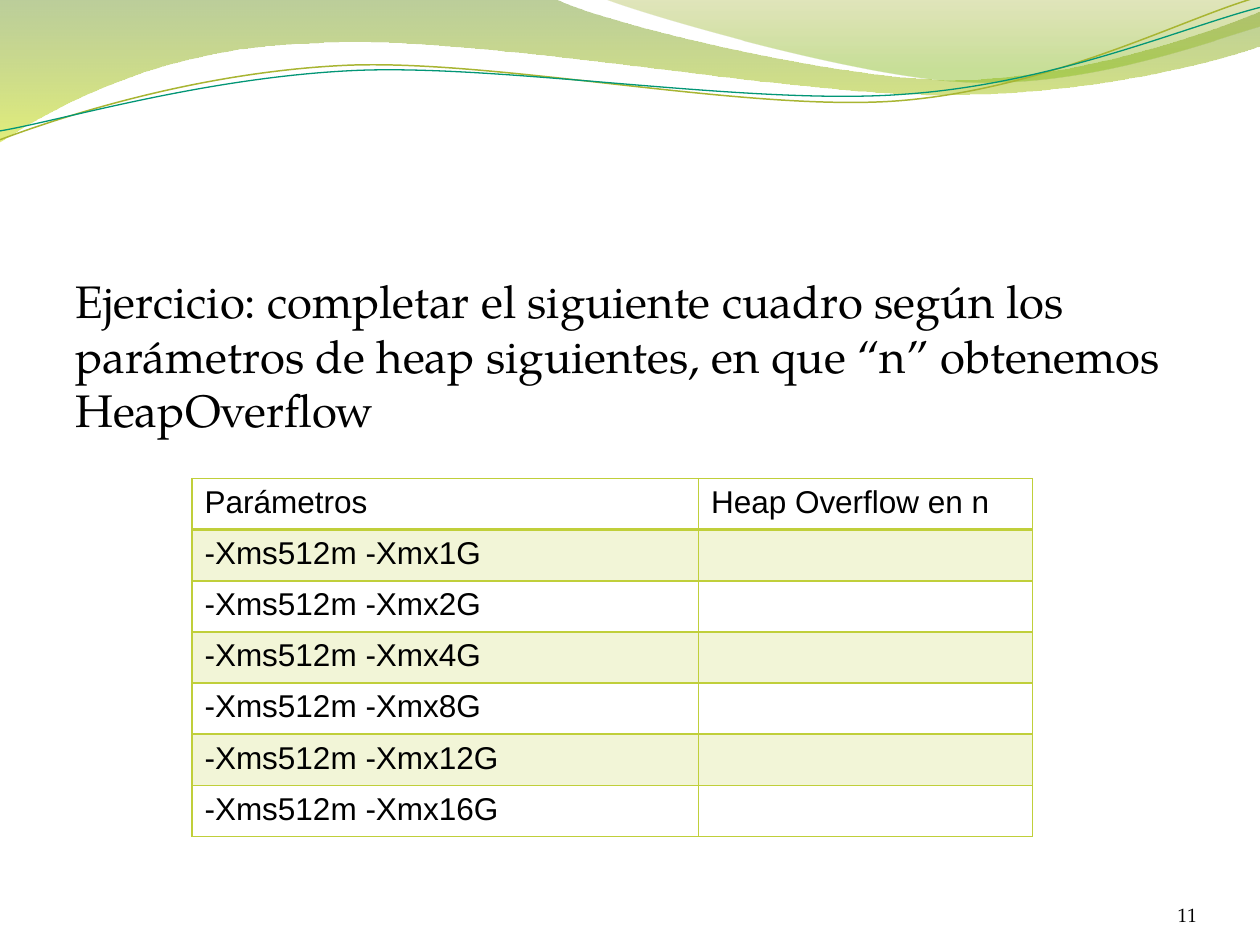
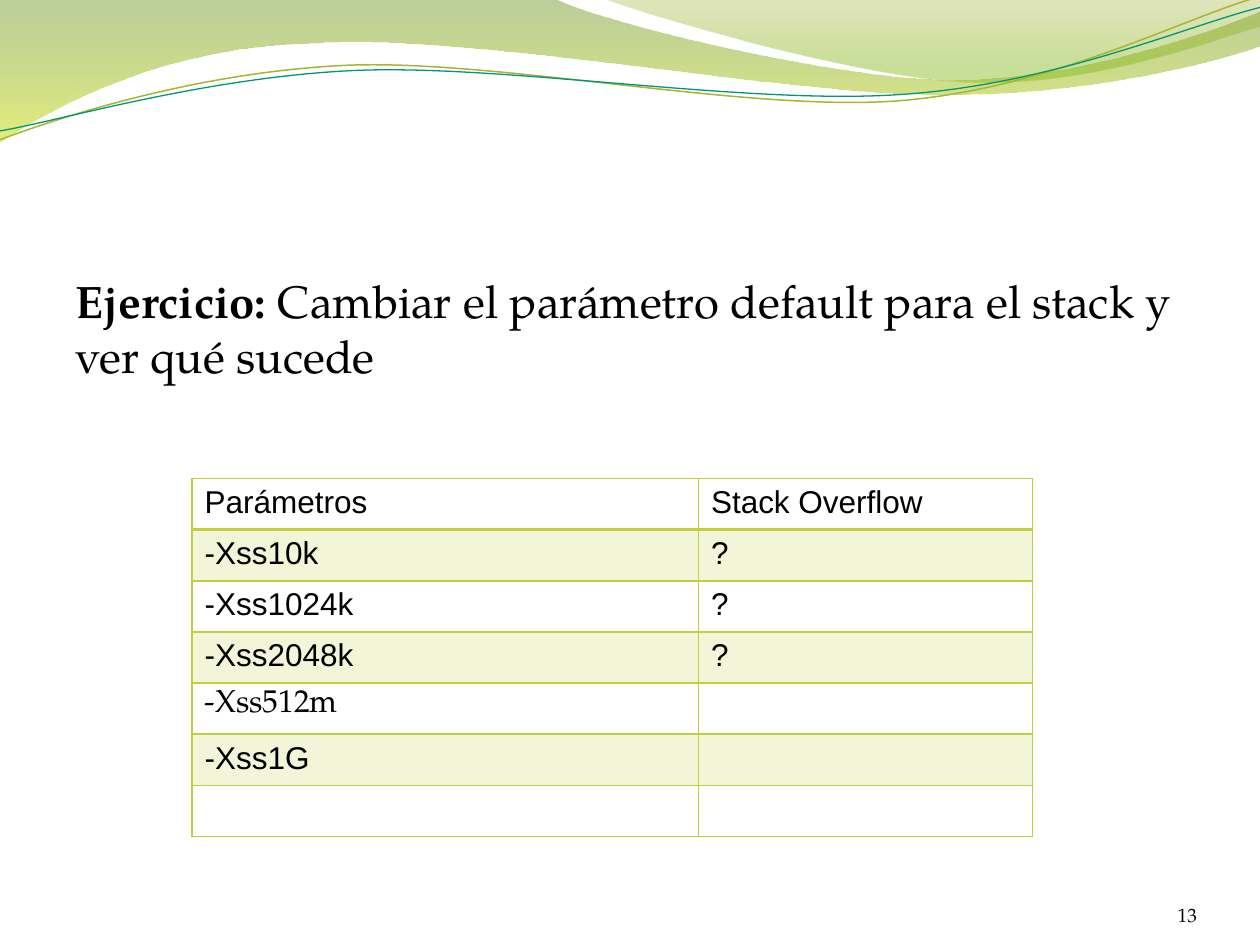
from dataclasses import dataclass
from itertools import product
from typing import NamedTuple

from lxml.etree import SubElement
from pptx import Presentation
from pptx.dml.color import RGBColor
from pptx.enum.text import MSO_ANCHOR as Anchor, PP_ALIGN as Align
from pptx.oxml.ns import qn
from pptx.util import Cm, Pt

COLORS = {
    "text": "000000",
    "lime": "C0CF3A",
    "moss": "668F1B",
    "yellow": "CAE00E",
    "olive": "99A719",
    "leaf": "80B814",
    "olive_line": "A8B532",
    "teal_line": "029676",
}
SERIF = "TeX Gyre Pagella"
SANS = "Arial"
LINE_ROTATION = 357.3
ROW_HEIGHT = 1.03
COLUMN_WIDTHS = (10.21, 6.73)


class Stop(NamedTuple):
    color: str
    opacity: int
    position: float


@dataclass(frozen=True)
class Wave:
    start: tuple
    segments: tuple
    stops: tuple = ()
    line: str = ""
    width: float = 0


@dataclass(frozen=True)
class Exercise:
    number: str
    label: str
    statement: str
    rows: tuple
    serif_cells: tuple = ()


WAVES = (
    Wave(
        (0, 0),
        (
            ((11.18, -0.03),),
            ((12.07, 0.43), (16.84, 1.6), (19.25, 1.6)),
            ((21.67, 1.6), (24.33, 0.66), (25.4, 0.23)),
            ((25.43, 0.91),),
            ((24.97, 1.12), (22.07, 1.93), (18.95, 1.91)),
            ((15.8, 1.91), (9.68, 0.71), (6.53, 0.86)),
            ((3.28, 0.91), (1.17, 2.11), (-0.03, 2.87)),
            ((0, 0),),
        ),
        stops=(Stop("moss", 44, 0), Stop("yellow", 55, 1)),
    ),
    Wave(
        (12.17, -0.03),
        (
            ((12.93, 0.28), (17.32, 1.57), (19.51, 1.65)),
            ((21.97, 1.75), (24.41, 0.81), (25.4, 0.53)),
            ((25.4, 0),),
            ((12.17, -0.03),),
        ),
        stops=(Stop("olive", 29, 0), Stop("leaf", 44, 0.8)),
    ),
    Wave(
        (-0.05, 2.22),
        (
            ((1.19, 1.82), (4, 1.04), (7.02, 1.05)),
            ((10.05, 1.07), (15, 2.37), (18.05, 2.29)),
            ((21.13, 2.2), (23.86, 0.91), (25.38, 0.55)),
        ),
        line="olive_line",
        width=0.85,
    ),
    Wave(
        (-0.04, 2.04),
        (
            ((1.16, 1.9), (4.15, 1.15), (7.2, 1.16)),
            ((10.22, 1.18), (15.13, 2.25), (18.19, 2.16)),
            ((21.22, 2.1), (23.93, 1.06), (25.45, 0.75)),
        ),
        line="teal_line",
        width=0.75,
    ),
)

EXERCISES = (
    Exercise(
        "11",
        "",
        "Ejercicio: completar el siguiente cuadro según los parámetros de heap "
        "siguientes, en que “n” obtenemos HeapOverflow",
        (
            ("Parámetros", "Heap Overflow en n"),
            *((f"-Xms512m -Xmx{size}G", "") for size in (1, 2, 4, 8, 12, 16)),
        ),
    ),
    Exercise(
        "13",
        "Ejercicio:",
        " Cambiar el parámetro default para el stack y ver qué sucede",
        (
            ("Parámetros", "Stack Overflow"),
            ("-Xss10k", "?"),
            ("-Xss1024k", "?"),
            ("-Xss2048k", "?"),
            ("-Xss512m", ""),
            ("-Xss1G", ""),
            ("", ""),
        ),
        serif_cells=("-Xss512m",),
    ),
)


def rgb(name: str) -> RGBColor:
    return RGBColor.from_string(COLORS[name])


def set_opacity(color_element, percent: int) -> None:
    SubElement(color_element, qn("a:alpha"), val=str(percent * 1000))


def write(para, text: str, *, size: float, font: str = SERIF, bold: bool = False) -> None:
    span = para.add_run()
    span.text = text
    span.font.size = Pt(size)
    span.font.name = font
    span.font.bold = bold
    span.font.color.rgb = rgb("text")


def bend(shape, segments: tuple) -> None:
    outline = next(shape._element.spPr.iter(qn("a:path")))
    steps = iter(outline.findall(qn("a:lnTo")))
    for segment in segments:
        first, *others = [next(steps) for _ in segment]
        if others:
            curve = SubElement(outline, qn("a:cubicBezTo"))
            first.addprevious(curve)
            for step in (first, *others):
                curve.append(step[0])
                outline.remove(step)


def draw_wave(slide, wave: Wave) -> None:
    builder = slide.shapes.build_freeform(*map(Cm, wave.start))
    points = [(Cm(x), Cm(y)) for segment in wave.segments for x, y in segment]
    builder.add_line_segments(points, close=bool(wave.stops))
    shape = builder.convert_to_shape()
    bend(shape, wave.segments)
    shape.shadow.inherit = False
    if not wave.stops:
        shape.rotation = LINE_ROTATION
        shape.fill.background()
        shape.line.color.rgb = rgb(wave.line)
        shape.line.width = Pt(wave.width)
        return
    shape.line.fill.background()
    shape.fill.gradient()
    shape.fill.gradient_angle = 270
    for target, stop in zip(shape.fill.gradient_stops, wave.stops):
        target.color.rgb = rgb(stop.color)
        target.position = stop.position
    colors = shape._element.spPr.iter(qn("a:srgbClr"))
    for color, stop in zip(list(colors), wave.stops):
        set_opacity(color, stop.opacity)


def add_box(slide, left: float, top: float, width: float, height: float):
    box = slide.shapes.add_textbox(Cm(left), Cm(top), Cm(width), Cm(height))
    box.text_frame.word_wrap = True
    return box.text_frame


def set_borders(cell, row: int) -> None:
    properties = cell._tc.get_or_add_tcPr()
    widths = {"L": 1, "R": 1, "T": 2 if row == 1 else 1, "B": 2 if row == 0 else 1}
    for side, width in widths.items():
        line = SubElement(properties, qn(f"a:ln{side}"), w=str(Pt(width)))
        fill = SubElement(line, qn("a:solidFill"))
        SubElement(fill, qn("a:srgbClr"), val=COLORS["lime"])


def fill_cell(cell, row: int) -> None:
    if row % 2 == 0:
        cell.fill.background()
        return
    cell.fill.solid()
    cell.fill.fore_color.rgb = rgb("lime")
    properties = cell._tc.get_or_add_tcPr()
    set_opacity(properties.find(f"{qn('a:solidFill')}/{qn('a:srgbClr')}"), 20)


def draw_table(slide, exercise: Exercise) -> None:
    rows = exercise.rows
    table = slide.shapes.add_table(
        len(rows), len(COLUMN_WIDTHS), Cm(3.87), Cm(9.65),
        Cm(sum(COLUMN_WIDTHS)), Cm(ROW_HEIGHT * len(rows)),
    ).table
    table.first_row = table.horz_banding = False
    for column, width in zip(table.columns, COLUMN_WIDTHS):
        column.width = Cm(width)
    for table_row in table.rows:
        table_row.height = Cm(ROW_HEIGHT)
    for row, column in product(range(len(rows)), range(len(COLUMN_WIDTHS))):
        cell = table.cell(row, column)
        set_borders(cell, row)
        fill_cell(cell, row)
        text = rows[row][column]
        if text:
            font = SERIF if text in exercise.serif_cells else SANS
            write(cell.text_frame.paragraphs[0], text, size=18, font=font)


def draw_exercise(deck, exercise: Exercise) -> None:
    slide = deck.slides.add_slide(deck.slide_layouts[6])
    for wave in WAVES:
        draw_wave(slide, wave)

    para = add_box(slide, 1.27, 5.38, 22.86, 12.19).paragraphs[0]
    if exercise.label:
        write(para, exercise.label, size=26, bold=True)
    write(para, exercise.statement, size=26)

    number = add_box(slide, 22.02, 17.65, 2.11, 1.02)
    number.margin_left = number.margin_right = Cm(0)
    number.margin_top = number.margin_bottom = Cm(0)
    number.vertical_anchor = Anchor.BOTTOM
    number.paragraphs[0].alignment = Align.RIGHT
    write(number.paragraphs[0], exercise.number, size=11)

    draw_table(slide, exercise)


def main() -> None:
    deck = Presentation()
    deck.slide_width = Cm(25.4)
    deck.slide_height = Cm(19.05)
    for exercise in EXERCISES:
        draw_exercise(deck, exercise)
    deck.save("out.pptx")


if __name__ == "__main__":
    main()
